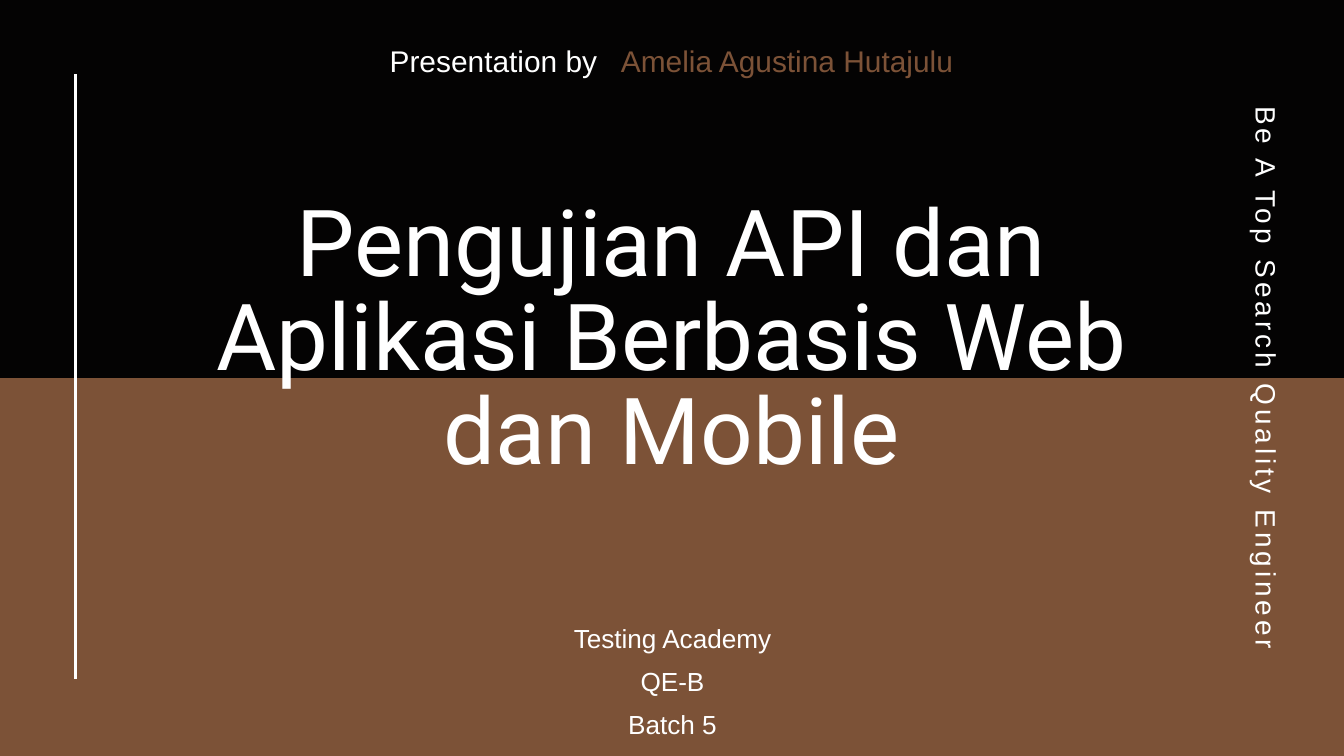
from dataclasses import dataclass

from lxml.etree import SubElement
from pptx import Presentation
from pptx.dml.color import RGBColor
from pptx.enum.shapes import MSO_CONNECTOR as Connector, MSO_SHAPE as Shape
from pptx.enum.text import MSO_ANCHOR as Anchor, MSO_AUTO_SIZE as AutoSize, PP_ALIGN as Align
from pptx.oxml.ns import qn
from pptx.util import Pt


@dataclass(frozen=True)
class Theme:
    black: RGBColor = RGBColor.from_string("040303")
    brown: RGBColor = RGBColor.from_string("7C5237")
    white: RGBColor = RGBColor.from_string("FFFFFF")
    title_font: str = "Roboto"
    body_font: str = "Arial"
    title_size: float = 99.1
    header_size: float = 32
    motto_size: float = 30
    footer_size: float = 28
    title_spacing: float = 101
    body_leading: float = 1.4


THEME = Theme()
WIDTH, HEIGHT = 1440, 810

TITLE = "Pengujian API dan Aplikasi Berbasis Web dan Mobile"
TITLE_BOX = (178.5, 215, 1082, 407)
HEADER = [
    ("Presentation by", (417.5, 39.5, 270, 41), Align.LEFT, THEME.white),
    ("Amelia Agustina Hutajulu", (593, 39.5, 428.5, 41), Align.RIGHT, THEME.brown),
]
MOTTO = "Be A Top Search Quality Engineer"
MOTTO_BOX = (1067, 385, 589, 39.5)
MOTTO_TRACKING = 4.2
FOOTER = [("Testing Academy", 277), ("QE-B", 277), ("Batch 5", 146)]
FOOTER_CENTER, FOOTER_TOP, FOOTER_STEP, FOOTER_HEIGHT = 720.5, 661, 46, 39
RULE_X, RULE_TOP, RULE_BOTTOM = 81, 79, 727


def write(shape, text, size, spacing, align=Align.CENTER, color=THEME.white, font=THEME.body_font):
    frame = shape.text_frame
    frame.margin_left = frame.margin_top = frame.margin_right = frame.margin_bottom = 0
    frame.word_wrap = True
    frame.auto_size = AutoSize.NONE
    frame.vertical_anchor = Anchor.TOP
    paragraph = frame.paragraphs[0]
    paragraph.alignment = align
    paragraph.line_spacing = Pt(spacing)
    run = paragraph.add_run()
    run.text = text
    run.font.name = font
    run.font.size = Pt(size)
    run.font.color.rgb = color
    return run


def add_label(slide, text, box, size, align=Align.CENTER, color=THEME.white):
    label = slide.shapes.add_textbox(*map(Pt, box))
    run = write(label, text, size, size * THEME.body_leading, align, color)
    return label, run


def add_title(slide):
    title = slide.shapes.title
    title.left, title.top, title.width, title.height = map(Pt, TITLE_BOX)
    write(title, TITLE, THEME.title_size, THEME.title_spacing, font=THEME.title_font)


def add_top_band(slide):
    band = slide.shapes.add_shape(Shape.RECTANGLE, 0, 0, Pt(WIDTH), Pt(HEIGHT / 2))
    band.shadow.inherit = False
    band.fill.solid()
    band.fill.fore_color.rgb = THEME.black
    band.line.fill.background()
    slide.shapes.title.element.addprevious(band.element)


def add_rule(slide):
    rule = slide.shapes.add_connector(
        Connector.STRAIGHT, Pt(RULE_X), Pt(RULE_BOTTOM), Pt(RULE_X), Pt(RULE_TOP))
    rule.line.color.rgb = THEME.white
    rule.line.width = Pt(3)
    SubElement(rule.element.spPr, qn("a:effectLst"))


def main():
    presentation = Presentation()
    presentation.slide_width, presentation.slide_height = Pt(WIDTH), Pt(HEIGHT)
    slide = presentation.slides.add_slide(presentation.slide_layouts.get_by_name("Title Only"))
    slide.background.fill.solid()
    slide.background.fill.fore_color.rgb = THEME.brown

    add_title(slide)
    add_top_band(slide)
    for text, box, align, color in HEADER:
        add_label(slide, text, box, THEME.header_size, align, color)
    for row, (text, width) in enumerate(FOOTER):
        box = (FOOTER_CENTER - width / 2, FOOTER_TOP + row * FOOTER_STEP, width, FOOTER_HEIGHT)
        add_label(slide, text, box, THEME.footer_size)
    motto, run = add_label(slide, MOTTO, MOTTO_BOX, THEME.motto_size)
    motto.rotation = 90
    run.font._element.set("spc", str(round(MOTTO_TRACKING * 100)))
    add_rule(slide)
    presentation.save("out.pptx")


if __name__ == "__main__":
    main()
